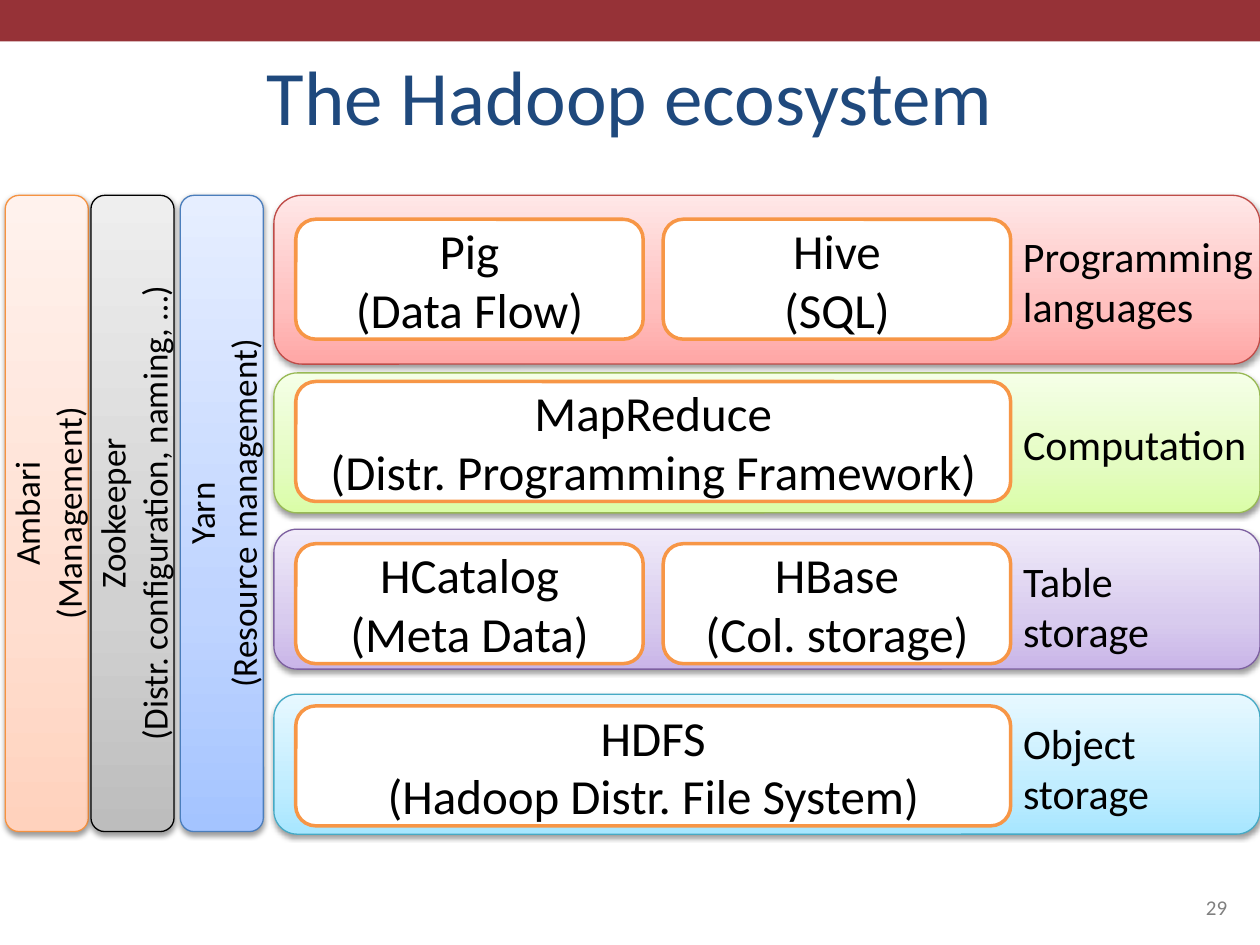
from dataclasses import dataclass
from lxml.etree import SubElement
from pptx import Presentation
from pptx.dml.color import RGBColor
from pptx.enum.shapes import MSO_SHAPE
from pptx.enum.text import MSO_ANCHOR, MSO_AUTO_SIZE, PP_ALIGN
from pptx.oxml.ns import qn
from pptx.util import Pt


@dataclass
class Tier:
    top: float
    height: float
    colours: list
    outline: str
    boxes: list
    label: list
    label_width: float


def colour(value):
    return RGBColor.from_string(value)


def add_node(parent, tag, **attributes):
    return SubElement(parent, qn(tag), {key: str(value) for key, value in attributes.items()})


class SlideBuilder:
    font = "Calibri"
    ink = "000000"
    accent = "F79646"
    band = "963237"

    def __init__(self, slide):
        self.slide = slide

    def fill_text(self, shape, lines, size, ink=None, align=PP_ALIGN.CENTER,
                  anchor=MSO_ANCHOR.MIDDLE):
        frame = shape.text_frame
        frame.vertical_anchor = anchor
        for index, line in enumerate(lines):
            para = frame.paragraphs[0] if index == 0 else frame.add_paragraph()
            para.alignment = align
            span = para.add_run()
            span.text = line
            span.font.name = self.font
            span.font.size = Pt(size)
            span.font.color.rgb = colour(ink or self.ink)

    def text(self, left, top, width, height, lines, size, wrap=True, **style):
        box = self.slide.shapes.add_textbox(Pt(left), Pt(top), Pt(width), Pt(height))
        box.text_frame.word_wrap = wrap
        box.text_frame.auto_size = MSO_AUTO_SIZE.NONE if wrap else MSO_AUTO_SIZE.SHAPE_TO_FIT_TEXT
        self.fill_text(box, lines, size, **style)

    def shape(self, kind, left, top, width, height):
        shape = self.slide.shapes.add_shape(kind, Pt(left), Pt(top), Pt(width), Pt(height))
        shape.shadow.inherit = False
        return shape

    def banner(self, height):
        bar = self.shape(MSO_SHAPE.RECTANGLE, 0, 0, 720, height)
        bar.fill.solid()
        bar.fill.fore_color.rgb = colour(self.band)
        bar.line.fill.background()

    def box(self, left, top, width, height, lines):
        box = self.shape(MSO_SHAPE.ROUNDED_RECTANGLE, left, top, width, height)
        box.fill.solid()
        box.fill.fore_color.rgb = colour("FFFFFF")
        box.line.color.rgb = colour(self.accent)
        box.line.width = Pt(2)
        self.fill_text(box, lines, 28)

    def panel(self, left, top, width, height, colours, outline):
        """Add a rounded panel with a vertical gradient, darkest at the bottom, and a soft shadow."""
        panel = self.shape(MSO_SHAPE.ROUNDED_RECTANGLE, left, top, width, height)
        panel.line.color.rgb = colour(outline)
        panel.line.width = Pt(0.75)
        panel.fill.gradient()
        panel.fill.gradient_angle = 90
        properties = panel.element.spPr
        stops = properties.find(qn("a:gradFill")).find(qn("a:gsLst"))
        for stop in list(stops):
            stops.remove(stop)
        for position, value in zip((0, 35, 100), colours):
            stop = add_node(stops, "a:gs", pos=position * 1000)
            add_node(stop, "a:srgbClr", val=value)
        shadow = add_node(properties.find(qn("a:effectLst")), "a:outerShdw", blurRad=Pt(3.1),
                          dist=Pt(1.6), dir=5400000, rotWithShape=0)
        add_node(add_node(shadow, "a:srgbClr", val="000000"), "a:alpha", val=38000)
        return panel

    def pillar(self, left, top, width, height, colours, outline, lines):
        pillar = self.panel(left, top, width, height, colours, outline)
        self.fill_text(pillar, lines, 20)
        pillar.element.txBody.find(qn("a:bodyPr")).set("vert", "vert270")


TIERS = [
    Tier(111.6, 96.5, ["FFA6A5", "FFC0BF", "FFE7E7"], "BF4C48",
         [["Pig", "(Data Flow)"], ["Hive", "(SQL)"]], ["Programming", "languages"], 147),
    Tier(213.1, 80, ["DAFDA7", "E4FCC2", "F5FFE7"], "98B955",
         [["MapReduce", "(Distr. Programming Framework)"]], ["Computation"], 143),
    Tier(302.4, 80, ["C9B5E8", "D8CBEE", "F0EAF9"], "7D60A0",
         [["HCatalog", "(Meta Data)"], ["HBase", "(Col. storage)"]], ["Table", "storage"], 87),
    Tier(396.7, 80, ["A7E6FF", "C1EDFF", "E7F8FF"], "46AAC5",
         [["HDFS", "(Hadoop Distr. File System)"]], ["Object", "storage"], 87),
]
PILLARS = [
    (3, ["FFD2BD", "FFDED0", "FFF2ED"], "F69240", ["Ambari", "(Management)"]),
    (52, ["BDBDBD", "D1D1D1", "EEEEEE"], "000000",
     ["Zookeeper", "(Distr. configuration, naming, …)"]),
    (103, ["A4C4FF", "BFD4FF", "E6EEFF"], "4B7EBC", ["Yarn", "(Resource management)"]),
]
STACK_TOP = 111.6
BOX_LEFT, BOX_TOP, BOX_HEIGHT, BOX_PITCH = 169, 125.3, 68.5, 92.7
BOXES_WIDTH, BOX_GAP = 408.5, 11.5


def main():
    deck = Presentation()
    deck.slide_width, deck.slide_height = Pt(720), Pt(540)
    builder = SlideBuilder(deck.slides.add_slide(deck.slide_layouts[6]))

    builder.banner(23.6)
    builder.text(36, 21.6, 648, 62.6, ["The Hadoop ecosystem"], 44, ink="1F497D",
                 anchor=MSO_ANCHOR.BOTTOM)

    for row, tier in enumerate(TIERS):
        builder.panel(156.5, tier.top, 563.5, tier.height, tier.colours, tier.outline)
        top = BOX_TOP + row * BOX_PITCH
        count = len(tier.boxes)
        width = (BOXES_WIDTH - (count - 1) * BOX_GAP) / count
        for column, lines in enumerate(tier.boxes):
            builder.box(BOX_LEFT + column * (width + BOX_GAP), top, width, BOX_HEIGHT, lines)
        label_height = 7.2 + 29.2 * len(tier.label)
        label_top = top + (BOX_HEIGHT - label_height) / 2 + 1.5
        builder.text(BOX_LEFT + BOXES_WIDTH, label_top, tier.label_width, label_height, tier.label,
                     24, wrap=False, align=PP_ALIGN.LEFT, anchor=MSO_ANCHOR.TOP)

    for left, colours, outline, lines in PILLARS:
        builder.pillar(left, STACK_TOP, 47.5, 363.6, colours, outline, lines)

    builder.text(516.2, 491.8, 192.2, 37.4, ["29"], 12, ink="808080", align=PP_ALIGN.RIGHT,
                 anchor=MSO_ANCHOR.BOTTOM)
    deck.save("out.pptx")


if __name__ == "__main__":
    main()
